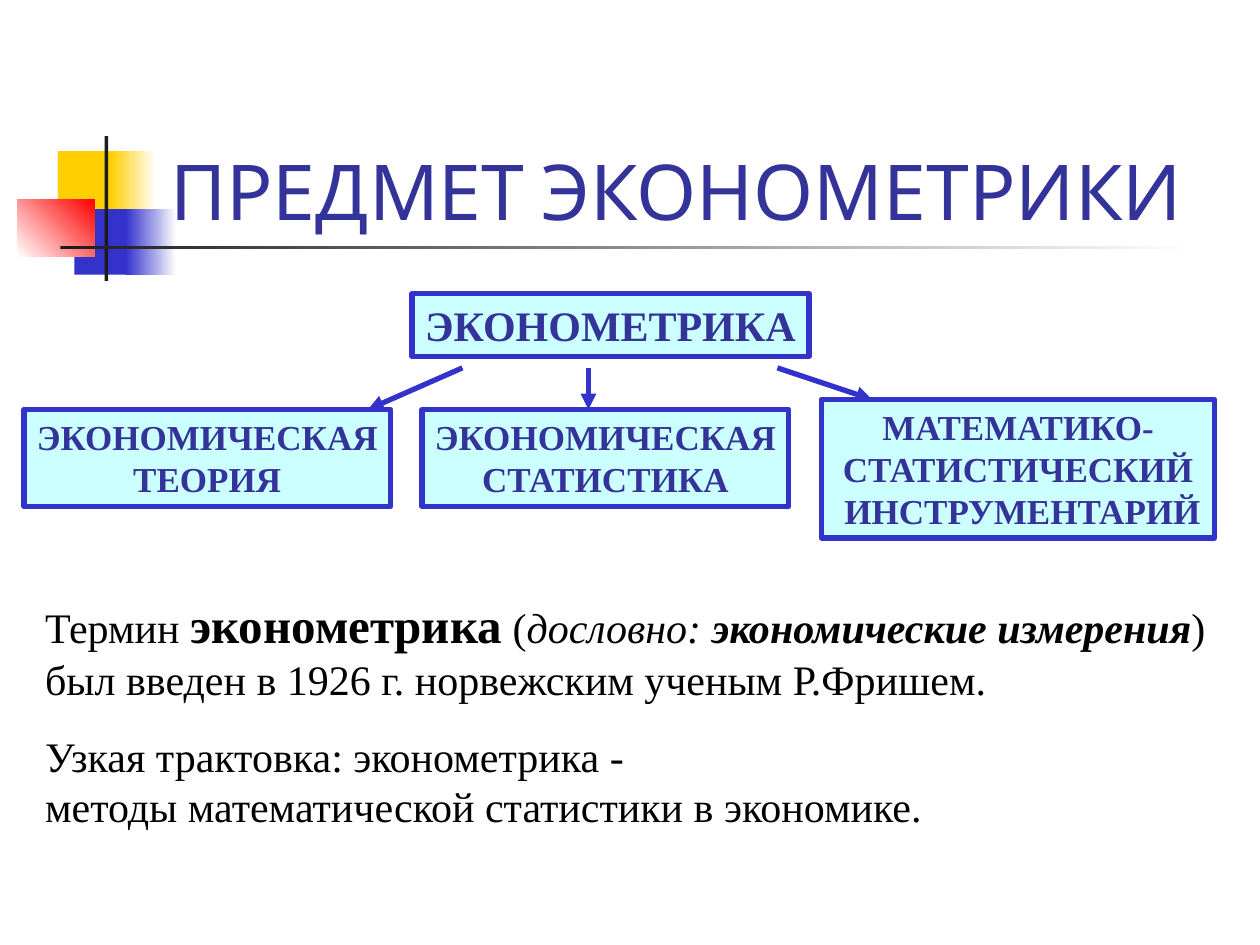
from dataclasses import dataclass

from pptx import Presentation
from pptx.dml.color import RGBColor
from pptx.enum.shapes import MSO_CONNECTOR, MSO_SHAPE
from pptx.enum.text import MSO_ANCHOR, MSO_AUTO_SIZE, PP_ALIGN
from pptx.oxml.ns import qn
from pptx.util import Inches, Pt
from lxml.etree import SubElement


@dataclass(frozen=True)
class Theme:
    yellow: str = "FFCF01"
    blue: str = "3333CC"
    red: str = "FF0000"
    dark: str = "1C1C1C"
    white: str = "FFFFFF"
    black: str = "000000"
    heading: str = "333399"
    box_fill: str = "CCFFFF"
    title_font: str = "Cabin"
    text_font: str = "Times New Roman"
    title_size: int = 44
    term_size: int = 28
    text_size: int = 24
    box_size: int = 20
    line_width: int = 3


THEME = Theme()


def rgb(value):
    return RGBColor.from_string(value)


def add_text(paragraph, text, size, color, font=THEME.text_font, bold=False, italic=False):
    """Add one formatted run per line, with line breaks between them."""
    for index, line in enumerate(text.split("\n")):
        if index:
            paragraph.add_line_break()
        run = paragraph.add_run()
        run.text = line
        run.font.name = font
        run.font.size = Pt(size)
        run.font.bold = bold
        run.font.italic = italic
        run.font.color.rgb = rgb(color)


def add_rectangle(slide, bounds):
    shape = slide.shapes.add_shape(MSO_SHAPE.RECTANGLE, *map(Inches, bounds))
    shape.shadow.inherit = False
    return shape


def add_ornament(slide, bounds, start, end=None, angle=0):
    """Add a borderless rectangle, solid or fading from start to end."""
    shape = add_rectangle(slide, bounds)
    shape.line.fill.background()
    if end is None:
        shape.fill.solid()
        shape.fill.fore_color.rgb = rgb(start)
        return
    shape.fill.gradient()
    shape.fill.gradient_angle = angle
    for stop, color in zip(shape.fill.gradient_stops, (start, end)):
        stop.color.rgb = rgb(color)


def add_decoration(slide):
    theme = THEME
    add_ornament(slide, (0.46, 1.2, 0.48, 0.52), theme.yellow)
    add_ornament(slide, (0.88, 1.2, 0.36, 0.52), theme.yellow, theme.white)
    add_ornament(slide, (0.59, 1.66, 0.46, 0.52), theme.blue)
    add_ornament(slide, (1, 1.66, 0.4, 0.52), theme.blue, theme.white)
    add_ornament(slide, (0.14, 1.58, 0.61, 0.46), theme.white, theme.red, angle=45)
    add_ornament(slide, (0.83, 1.08, 0.03, 1.15), theme.dark)
    add_ornament(slide, (0.48, 1.95, 9, 0.03), theme.dark, theme.white)


def set_title(slide, text):
    title = slide.shapes.title
    title.left, title.top, title.width, title.height = map(Inches, (1.25, 0.67, 8.52, 1.25))
    frame = title.text_frame
    frame.auto_size = MSO_AUTO_SIZE.NONE
    frame.vertical_anchor = MSO_ANCHOR.BOTTOM
    paragraph = frame.paragraphs[0]
    paragraph.alignment = PP_ALIGN.LEFT
    add_text(paragraph, text, THEME.title_size, THEME.heading, THEME.title_font)


def fit_frame(shape):
    """Let the shape follow its unwrapped text."""
    frame = shape.text_frame
    frame.word_wrap = False
    frame.auto_size = MSO_AUTO_SIZE.SHAPE_TO_FIT_TEXT
    frame.vertical_anchor = MSO_ANCHOR.TOP
    return frame


def add_box(slide, bounds, text, size=THEME.box_size):
    shape = add_rectangle(slide, bounds)
    shape.fill.solid()
    shape.fill.fore_color.rgb = rgb(THEME.box_fill)
    shape.line.color.rgb = rgb(THEME.blue)
    shape.line.width = Pt(THEME.line_width)
    paragraph = fit_frame(shape).paragraphs[0]
    paragraph.alignment = PP_ALIGN.CENTER
    add_text(paragraph, text, size, THEME.heading, bold=True)


def add_arrow(slide, start, end):
    connector = slide.shapes.add_connector(
        MSO_CONNECTOR.STRAIGHT, *map(Inches, (*start, *end)))
    connector.line.color.rgb = rgb(THEME.blue)
    connector.line.width = Pt(THEME.line_width)
    SubElement(connector.line._get_or_add_ln(), qn("a:tailEnd"), type="triangle")
    SubElement(connector._element.spPr, qn("a:effectLst"))


def add_explanation(slide):
    box = slide.shapes.add_textbox(*map(Inches, (0.26, 4.67, 9.56, 1.98)))
    frame = fit_frame(box)
    size, color = THEME.text_size, THEME.black
    origin = frame.paragraphs[0]
    add_text(origin, "Термин ", size, color)
    add_text(origin, "эконометрика", THEME.term_size, color, bold=True)
    add_text(origin, " (", size, color)
    add_text(origin, "дословно: ", size, color, italic=True)
    add_text(origin, "экономические измерения", size, color, bold=True, italic=True)
    add_text(origin, ") \nбыл введен в 1926 г. норвежским ученым Р.Фришем.", size, color)
    narrow_sense = frame.add_paragraph()
    narrow_sense.space_before = Pt(15)
    add_text(narrow_sense,
             "Узкая трактовка: эконометрика - \n"
             "методы математической статистики в экономике.", size, color)


def main():
    presentation = Presentation()
    presentation.slide_width = Inches(10)
    presentation.slide_height = Inches(7.5)
    slide = presentation.slides.add_slide(presentation.slide_layouts[5])

    add_decoration(slide)
    set_title(slide, "ПРЕДМЕТ ЭКОНОМЕТРИКИ")
    add_explanation(slide)

    add_box(slide, (3.27, 2.33, 3.15, 0.5), "ЭКОНОМЕТРИКА", THEME.text_size)
    add_box(slide, (0.19, 3.25, 2.91, 0.77), "ЭКОНОМИЧЕСКАЯ\nТЕОРИЯ")
    add_box(slide, (3.35, 3.25, 2.91, 0.77), "ЭКОНОМИЧЕСКАЯ\nСТАТИСТИКА")
    add_box(slide, (6.52, 3.17, 3.12, 1.1), "МАТЕМАТИКО-\nСТАТИСТИЧЕСКИЙ\n ИНСТРУМЕНТАРИЙ")

    arrow_top = 2.92
    for start_x, end in ((3.67, (2.92, 3.25)), (4.67, (4.67, 3.25)), (6.17, (6.92, 3.17))):
        add_arrow(slide, (start_x, arrow_top), end)

    presentation.save("out.pptx")


if __name__ == "__main__":
    main()
